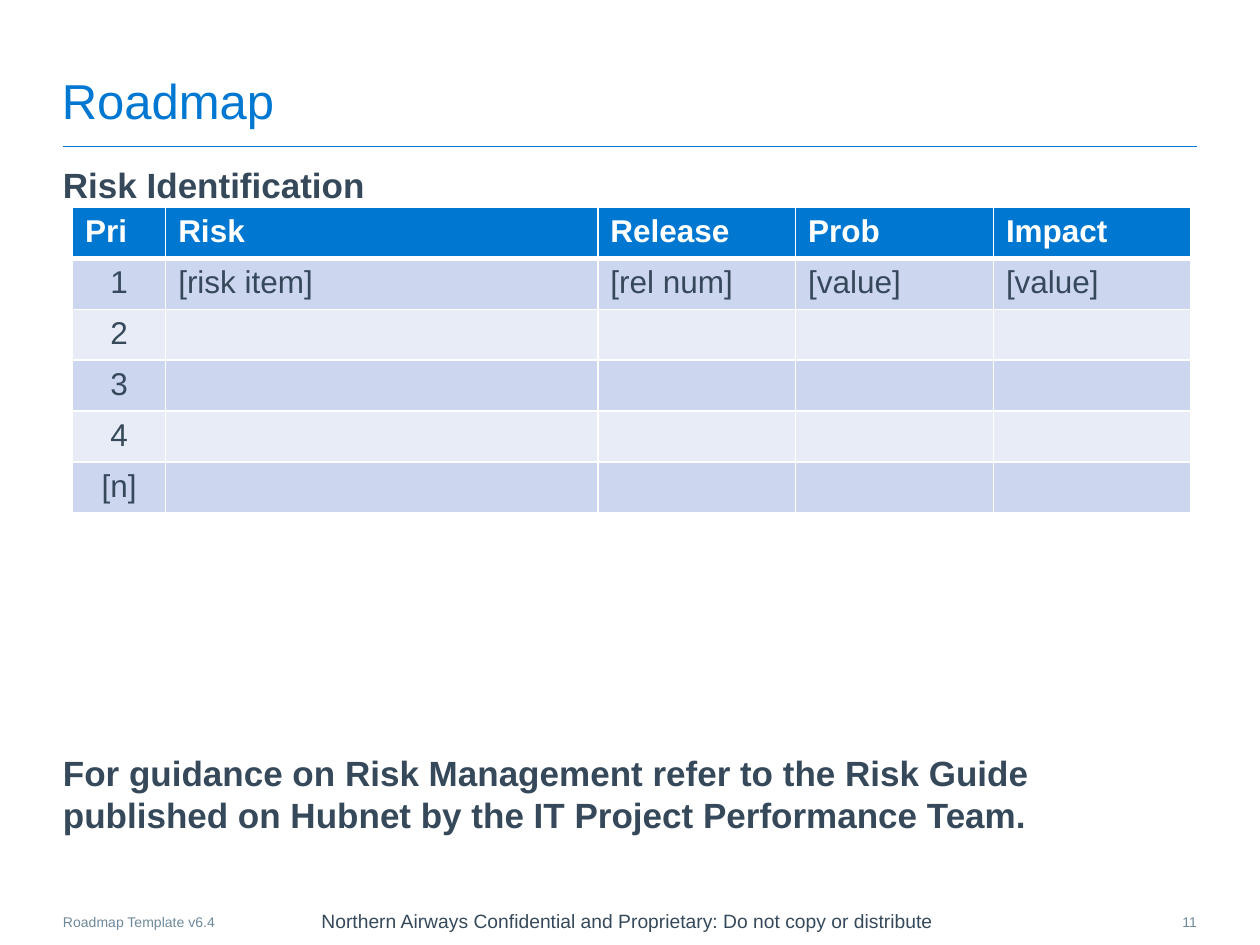
from dataclasses import dataclass, field

from lxml.etree import SubElement
from pptx import Presentation
from pptx.dml.color import RGBColor
from pptx.enum.shapes import MSO_CONNECTOR as CONN
from pptx.enum.text import MSO_ANCHOR as ANCHOR, PP_ALIGN as ALIGN
from pptx.oxml.ns import qn
from pptx.util import Pt

BLUE = RGBColor(0x00, 0x78, 0xD2)
SLATE = RGBColor(0x36, 0x49, 0x5A)
GREY = RGBColor(0x6E, 0x89, 0x99)
WHITE = RGBColor(0xFF, 0xFF, 0xFF)
BAND_DARK = RGBColor(0xCC, 0xD6, 0xEE)
BAND_LIGHT = RGBColor(0xE7, 0xEC, 0xF7)

LEFT, RIGHT = 36, 684
COLUMNS = (53.28, 246.96, 113.04, 113.04, 113.04)
ROW_HEIGHT = 29.16
ROWS = (
    ("Pri", "Risk", "Release", "Prob", "Impact"),
    ("1", "[risk item]", "[rel num]", "[value]", "[value]"),
    *((n, "", "", "", "") for n in ("2", "3", "4", "[n]")),
)


@dataclass
class Label:
    box: tuple[float, float, float, float]
    lines: tuple[str, ...]
    font: dict
    para: dict = field(default_factory=dict)
    frame: dict = field(default_factory=dict)
    gap: float = 0


LABELS = (
    Label((144.72, 516.96, 427.68, 18.72),
          ("Northern Airways Confidential and Proprietary: Do not copy or distribute",),
          {"size": Pt(11)}, {"alignment": ALIGN.CENTER},
          {"vertical_anchor": ANCHOR.MIDDLE, "word_wrap": False}),
    Label((35.28, 30.24, 648.72, 43.92), ("Roadmap",),
          {"size": Pt(28), "color": BLUE}, frame={"vertical_anchor": ANCHOR.BOTTOM}),
    Label((LEFT, 522, 127.44, 10.08), ("Roadmap Template v6.4",),
          {"size": Pt(8), "color": GREY}),
    Label((658.8, 522, 25.2, 10.8), ("11",),
          {"size": Pt(8), "color": GREY}, {"alignment": ALIGN.RIGHT}),
    Label((LEFT, 93.6, RIGHT - LEFT, 390.24),
          ("Risk Identification",
           "For guidance on Risk Management refer to the Risk Guide "
           "published on Hubnet by the IT Project Performance Team."),
          {"size": Pt(20), "bold": True}, {"line_spacing": Pt(24)}, gap=312),
)


def apply(target, values: dict) -> None:
    for name, value in values.items():
        setattr(target, name, value)


def format_font(font, values: dict) -> None:
    values = {"name": "Arial", "color": SLATE, **values}
    font.color.rgb = values.pop("color")
    apply(font, values)


def add_label(s, label: Label) -> None:
    tf = s.shapes.add_textbox(*map(Pt, label.box)).text_frame
    margins = dict.fromkeys(
        ("margin_left", "margin_top", "margin_right", "margin_bottom"), 0)
    apply(tf, {"word_wrap": True, **margins, **label.frame})
    for i, line in enumerate(label.lines):
        p = tf.add_paragraph() if i else tf.paragraphs[0]
        apply(p, label.para)
        if i:
            p.space_before = Pt(label.gap)
        r = p.add_run()
        r.text = line
        format_font(r.font, label.font)


def add_rule(s, y: float) -> None:
    line = s.shapes.add_connector(CONN.STRAIGHT, Pt(LEFT), Pt(y), Pt(RIGHT), Pt(y))
    line.line.color.rgb = BLUE
    line.line.width = Pt(0.5)
    SubElement(line._element.spPr, qn("a:effectLst"))


def set_borders(cell, widths: dict[str, float]) -> None:
    """Draw white cell edges; they must precede the fill in the XML."""
    tc_pr = cell._tc.get_or_add_tcPr()
    for side, width in widths.items():
        ln = SubElement(tc_pr, qn(f"a:ln{side}"), w=str(Pt(width)))
        fill = SubElement(ln, qn("a:solidFill"))
        SubElement(fill, qn("a:srgbClr"), val=str(WHITE))


def add_risk_table(s, left: float, top: float) -> None:
    table = s.shapes.add_table(
        len(ROWS), len(COLUMNS), Pt(left), Pt(top),
        Pt(sum(COLUMNS)), Pt(ROW_HEIGHT * len(ROWS))).table
    for column, width in zip(table.columns, COLUMNS):
        column.width = Pt(width)
    for i, texts in enumerate(ROWS):
        header = i == 0
        table.rows[i].height = Pt(ROW_HEIGHT)
        for j, text in enumerate(texts):
            cell = table.cell(i, j)
            set_borders(cell, {"L": 1, "R": 1, "T": 3 if i == 1 else 1,
                               "B": 3 if header else 1})
            cell.fill.solid()
            cell.fill.fore_color.rgb = (
                BLUE if header else BAND_DARK if i % 2 else BAND_LIGHT)
            p = cell.text_frame.paragraphs[0]
            if j == 0 and not header:
                p.alignment = ALIGN.CENTER
            style = {"size": Pt(18), "bold": header,
                     "color": WHITE if header else SLATE}
            if text:
                r = p.add_run()
                r.text = text
                format_font(r.font, style)


def main() -> None:
    prs = Presentation()
    apply(prs, {"slide_width": Pt(720), "slide_height": Pt(540)})
    s = prs.slides.add_slide(prs.slide_layouts[6])
    add_rule(s, 83.52)
    for label in LABELS:
        add_label(s, label)
    add_risk_table(s, 41.4, 118.44)
    prs.save("out.pptx")


if __name__ == "__main__":
    main()
